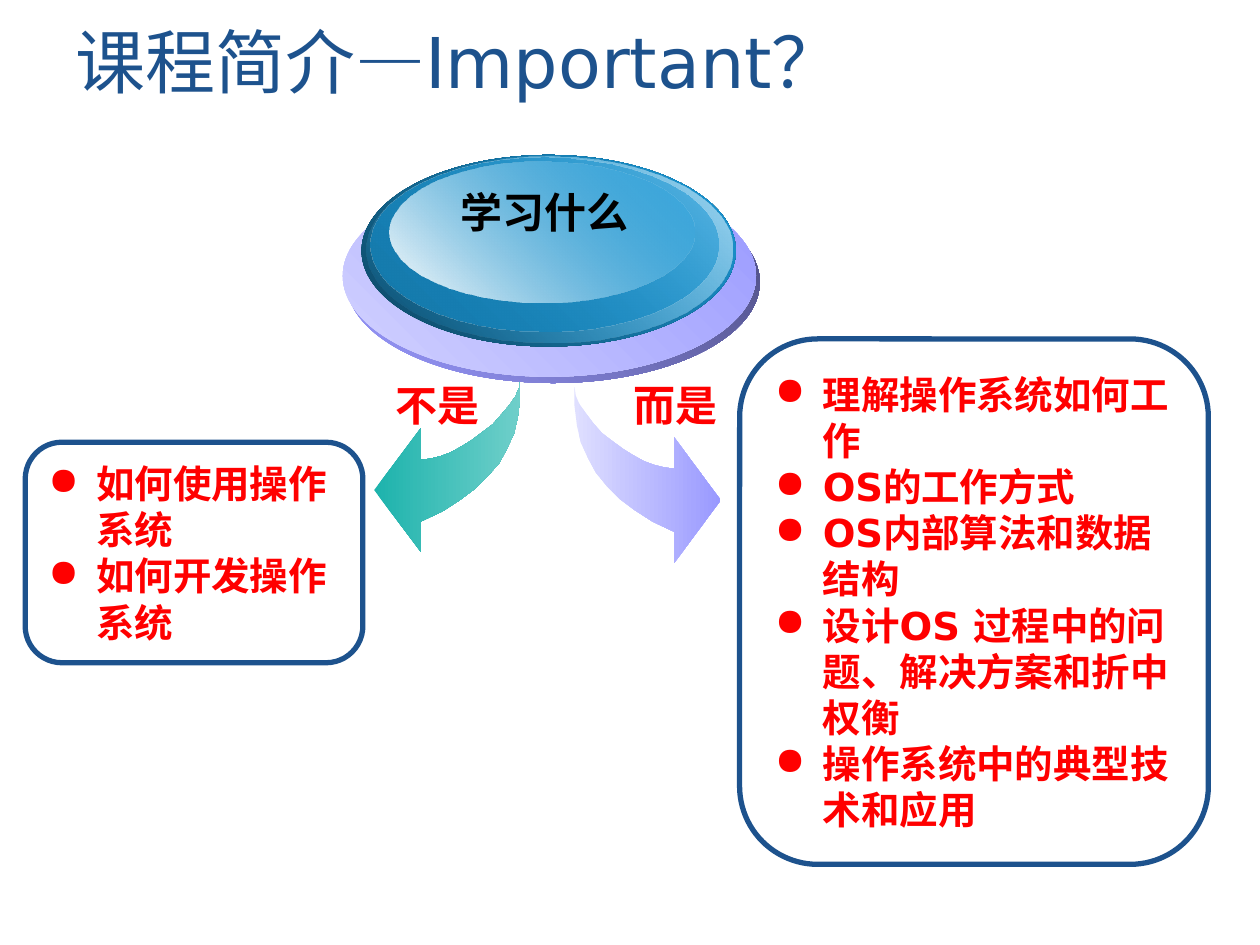
from lxml.etree import SubElement
from pptx import Presentation
from pptx.dml.color import RGBColor
from pptx.enum.shapes import MSO_SHAPE as Preset
from pptx.enum.text import MSO_ANCHOR as Anchor, PP_ALIGN as Align
from pptx.oxml.ns import qn
from pptx.util import Inches, Pt

NAVY, RED, BLACK, WHITE = "1D528D", "FF0000", "000000", "FFFFFF"

DISC_LAYERS = [
    ((2.75, 1.44, 3.28, 1.6), ("9999FF", 100), ("4A4A7C", 100)),
    ((2.72, 1.39, 3.28, 1.6), ("D2D2FF", 100), ("9999FF", 100)),
    ((2.87, 1.23, 2.97, 1.52), ("0D4764", 100), ("1B9AD9", 100)),
    ((2.91, 1.24, 2.9, 1.48), ("1B9AD9", 0), ("AFDCF2", 100)),
    ((2.94, 1.25, 2.76, 1.38), ("157AAC", 100), ("1B9AD9", 48)),
    ((3.09, 1.28, 2.42, 1.12), ("FFFFFF", 100), ("1B9AD9", 38)),
]

ARROW_OUTLINE = [
    (0, 0), (0, 15), (2, 30), (5, 43), (11, 56), (17, 67), (26, 77),
    (36, 87), (48, 96), (62, 105), (79, 113), (79, 137), (116, 88),
    (79, 39), (79, 64), (71, 63), (63, 61), (55, 58), (46, 53), (38, 48),
    (30, 42), (22, 36), (15, 28), (9, 21), (4, 14), (1, 7),
]

NOT_TOPICS = ["如何使用操作系统", "如何开发操作系统"]
TOPICS = [
    "理解操作系统如何工作",
    "OS的工作方式",
    "OS内部算法和数据结构",
    "设计OS 过程中的问题、解决方案和折中权衡",
    "操作系统中的典型技术和应用",
]


def color(value):
    return RGBColor.from_string(value)


def set_font(font, name, size, value, bold=False):
    font.name, font.size, font.bold = name, Pt(size), bold
    font.color.rgb = color(value)


def fill_gradient(shape, start, end, angle):
    shape.shadow.inherit = False
    shape.line.fill.background()
    shape.fill.gradient()
    shape.fill.gradient_angle = angle
    for stop, (value, opacity) in zip(shape.fill.gradient_stops, (start, end)):
        stop.color.rgb = color(value)
    tags = shape._element.spPr.iter(qn("a:srgbClr"))
    for tag, (value, opacity) in zip(list(tags), (start, end)):
        if opacity < 100:
            SubElement(tag, qn("a:alpha"), val=str(opacity * 1000))


def add_title(page):
    title = page.shapes.title
    title.left, title.top = Inches(0.5), Inches(0.17)
    title.width, title.height = Inches(9), Inches(0.62)
    title.text_frame.vertical_anchor = Anchor.MIDDLE
    para = title.text_frame.paragraphs[0]
    para.alignment = Align.LEFT
    for text, name in (("课程简介", "DejaVu Sans"), ("—", "Arial"),
                       ("Important？", "DejaVu Sans")):
        span = para.add_run()
        span.text = text
        set_font(span.font, name, 40, NAVY)


def add_arrow(page, left, top, direction, stretch, start, end):
    points = [(left + direction * x, top + stretch * y) for x, y in ARROW_OUTLINE]
    builder = page.shapes.build_freeform(*points[0], scale=Inches(0.01))
    builder.add_line_segments(points[1:], close=True)
    fill_gradient(builder.convert_to_shape(), (start, 100), (end, 100), 0)


def add_disc(page):
    for place, start, end in DISC_LAYERS:
        layer = page.shapes.add_shape(Preset.OVAL, *map(Inches, place))
        fill_gradient(layer, start, end, 45)


def add_label(page, text, place, value, alignment=Align.LEFT):
    box = page.shapes.add_textbox(*map(Inches, place))
    box.text_frame.word_wrap = True
    para = box.text_frame.paragraphs[0]
    para.text, para.alignment = text, alignment
    set_font(para.font, "Arial", 24, value, True)


def add_bullet(para):
    props = para._p.get_or_add_pPr()
    props.set("marL", str(Inches(0.38)))
    props.set("indent", str(-Inches(0.38)))
    SubElement(props, qn("a:buChar"), char="●")


def add_panel(page, lines, place):
    panel = page.shapes.add_shape(Preset.ROUNDED_RECTANGLE, *map(Inches, place))
    panel.shadow.inherit = False
    panel.fill.solid()
    panel.fill.fore_color.rgb = color(WHITE)
    panel.line.color.rgb = color(NAVY)
    panel.line.width = Pt(3)
    frame = panel.text_frame
    frame.word_wrap, frame.vertical_anchor = True, Anchor.MIDDLE
    frame.text = "\n".join(lines)
    for para in frame.paragraphs:
        para.alignment = Align.LEFT
        add_bullet(para)
        set_font(para.font, "DejaVu Sans", 22, RED, True)


def main():
    deck = Presentation()
    deck.slide_width, deck.slide_height = Inches(10), Inches(7.5)
    page = deck.slides.add_slide(deck.slide_layouts[5])
    add_title(page)
    add_arrow(page, 413, 301, -1, 1, "1DB3AC", "6FCFCA")
    add_disc(page)
    add_label(page, "学习什么", (3.55, 1.43, 1.54, 0.5), BLACK, Align.CENTER)
    add_arrow(page, 456, 307, 1, 1.02, "DFDFFF", "9999FF")
    add_label(page, "不是", (3.04, 2.96, 1.18, 0.5), RED)
    add_panel(page, TOPICS, (5.87, 2.69, 3.72, 4.17))
    add_label(page, "而是", (4.93, 2.96, 1.26, 0.5), RED)
    add_panel(page, NOT_TOPICS, (0.2, 3.51, 2.68, 1.75))
    deck.save("out.pptx")


if __name__ == "__main__":
    main()
